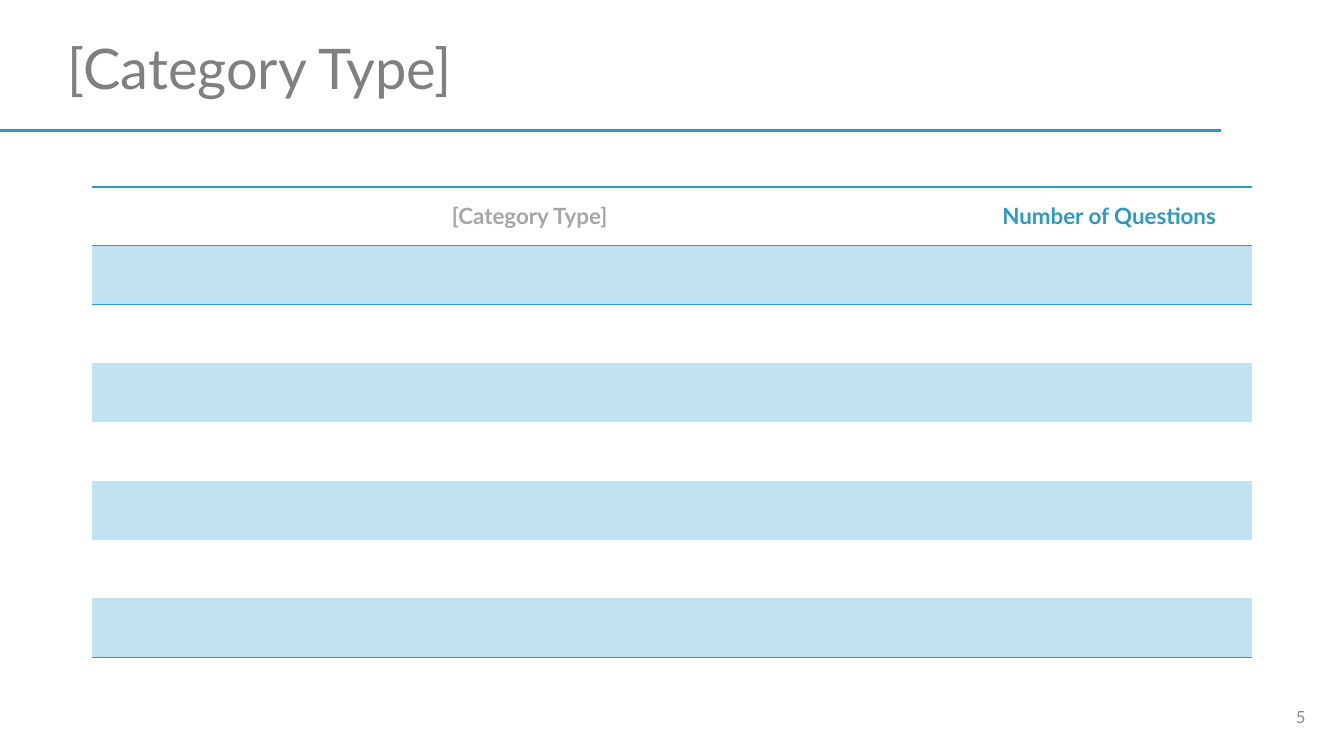
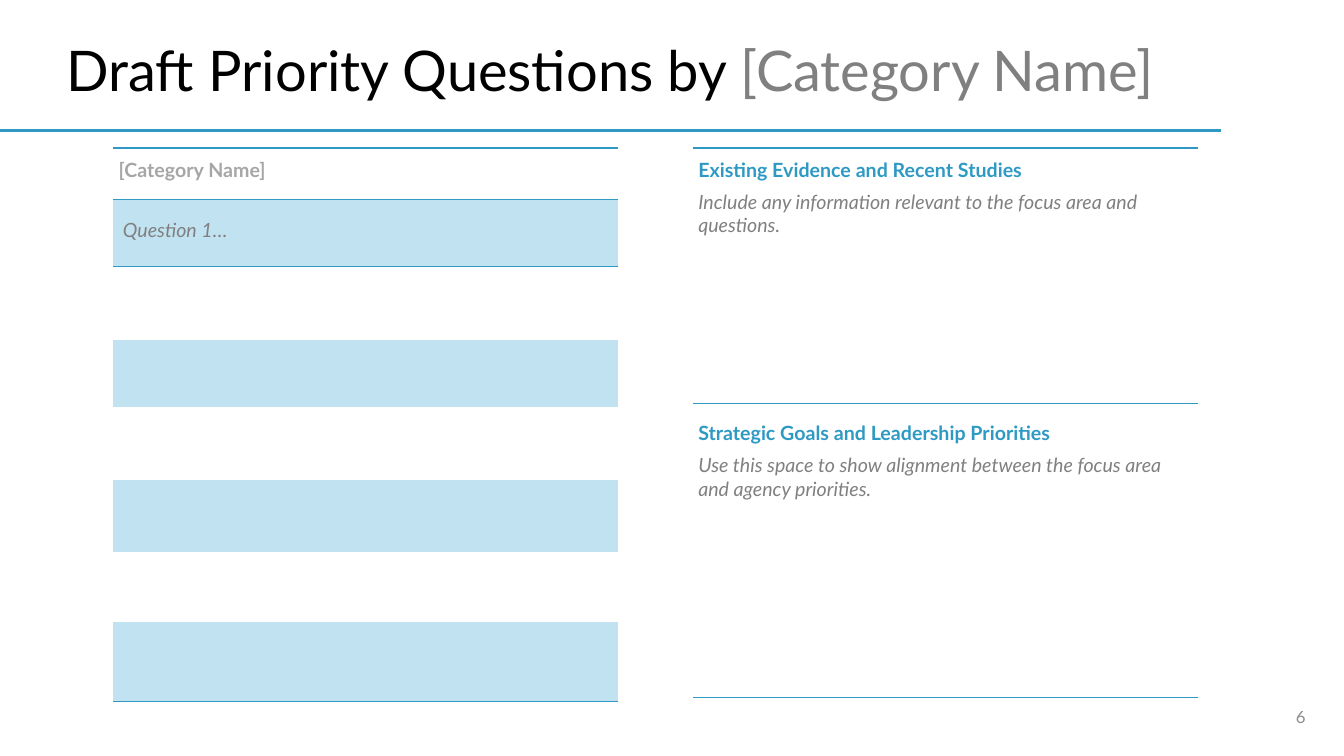
from dataclasses import dataclass

from lxml import etree
from pptx import Presentation
from pptx.dml.color import RGBColor
from pptx.enum.shapes import MSO_CONNECTOR
from pptx.enum.text import MSO_ANCHOR, PP_ALIGN
from pptx.oxml.ns import qn
from pptx.util import Pt

PX = 9525  # EMU per px; the slide is 1280 x 720 px
FONT = "Lato"
LEFT, CENTER, RIGHT = PP_ALIGN.LEFT, PP_ALIGN.CENTER, PP_ALIGN.RIGHT
TOP, MIDDLE = MSO_ANCHOR.TOP, MSO_ANCHOR.MIDDLE
STRAIGHT = MSO_CONNECTOR.STRAIGHT
COLORS = {
    "accent": "2E9AC4",
    "band": "C1E3F1",
    "text": "000000",
    "prompt": "808080",
    "placeholder": "A6A6A6",
    "number": "8C8C8C",
}


@dataclass(frozen=True)
class Run:
    text: str
    color: str


@dataclass(frozen=True)
class Para:
    runs: tuple[Run, ...]
    size: int
    bold: bool = False
    italic: bool = False
    align: PP_ALIGN = LEFT
    spacing: float | Pt | None = None
    before: int = 0
    after: int = 0


@dataclass(frozen=True)
class CellText:
    paras: tuple[Para, ...]
    anchor: MSO_ANCHOR = MIDDLE
    left: int = 5
    top: int = 0


@dataclass(frozen=True)
class Grid:
    x: int
    y: int
    cols: tuple[int, ...]
    rows: tuple[int, ...]
    rules: tuple[int, ...]  # row boundaries that carry a line
    texts: dict[tuple[int, int], CellText]
    banded: bool = True


def rgb(name: str) -> RGBColor:
    return RGBColor.from_string(COLORS[name])


def write(tf, paras: tuple[Para, ...]) -> None:
    for i, para in enumerate(paras):
        p = tf.paragraphs[0] if i == 0 else tf.add_paragraph()
        p.alignment = para.align
        p.space_before, p.space_after = Pt(para.before), Pt(para.after)
        if para.spacing is not None:
            p.line_spacing = para.spacing
        p.font.name, p.font.size = FONT, Pt(para.size)
        p.font.bold, p.font.italic = para.bold, para.italic
        p.font.color.rgb = rgb(para.runs[0].color)
        for run in para.runs:
            r = p.add_run()
            r.text = run.text
            if run.color != para.runs[0].color:
                r.font.color.rgb = rgb(run.color)


def add_text(slide, x: int, y: int, w: int, h: int, para: Para) -> None:
    sp = slide.shapes.add_textbox(x * PX, y * PX, w * PX, h * PX)
    tf = sp.text_frame
    tf.word_wrap = True
    tf.vertical_anchor = MIDDLE
    write(tf, (para,))


def set_borders(cell, top: bool, bottom: bool) -> None:
    tc_pr = cell._tc.get_or_add_tcPr()
    for side, shown in (("L", False), ("R", False), ("T", top), ("B", bottom)):
        ln = etree.SubElement(tc_pr, qn(f"a:ln{side}"), w=str(Pt(1)))
        if shown:
            fill = etree.SubElement(ln, qn("a:solidFill"))
            etree.SubElement(fill, qn("a:srgbClr"), val=COLORS["accent"])
        else:
            etree.SubElement(ln, qn("a:noFill"))


def add_grid(slide, grid: Grid) -> None:
    table = slide.shapes.add_table(
        len(grid.rows), len(grid.cols), grid.x * PX, grid.y * PX,
        sum(grid.cols) * PX, sum(grid.rows) * PX).table
    table.first_row = table.horz_banding = False
    for col, width in zip(table.columns, grid.cols):
        col.width = width * PX
    for i, height in enumerate(grid.rows):
        table.rows[i].height = height * PX
        for j in range(len(grid.cols)):
            cell = table.cell(i, j)
            set_borders(cell, i in grid.rules, i + 1 in grid.rules)
            if grid.banded and i % 2:
                cell.fill.solid()
                cell.fill.fore_color.rgb = rgb("band")
            else:
                cell.fill.background()
            text = grid.texts.get((i, j))
            if text:
                cell.vertical_anchor = text.anchor
                cell.margin_left, cell.margin_right = text.left * PX, 5 * PX
                cell.margin_top, cell.margin_bottom = text.top * PX, 0
                write(cell.text_frame, text.paras)


def add_slide(prs, number: int, title: tuple[Run, ...],
              box: tuple[int, int, int, int]):
    slide = prs.slides.add_slide(prs.slide_layouts[6])
    # Rule under the title
    line = slide.shapes.add_connector(STRAIGHT, 0, 124 * PX, 1163 * PX, 124 * PX)
    line.line.color.rgb = rgb("accent")
    line.line.width = Pt(2.25)
    etree.SubElement(line._element.spPr, qn("a:effectLst"))
    # Title and slide number
    add_text(slide, *box, Para(title, 40, spacing=0.9))
    add_text(slide, 965, 664, 288, 38,
             Para((Run(str(number), "number"),), 12, align=RIGHT))
    return slide


def header(text: str, color: str) -> CellText:
    return CellText((Para((Run(text, color),), 16, bold=True, align=CENTER),))


def topic(heading: str, prompt: str, top: int, before: int, after: int) -> CellText:
    return CellText((
        Para((Run(heading, "accent"),), 14, bold=True, spacing=Pt(12), after=after),
        Para((Run(prompt, "prompt"),), 14, italic=True, before=before, after=6),
    ), TOP, top=top)


def main() -> None:
    prs = Presentation()
    prs.slide_width, prs.slide_height = 1280 * PX, 720 * PX

    # Number of questions per category
    slide = add_slide(prs, 5, (Run("[Category Type]", "prompt"),),
                      (55, 23, 1106, 90))
    add_grid(slide, Grid(88, 178, (833, 271), (56,) * 8, (0, 1, 2, 8), {
        (0, 0): header("[Category Type]", "placeholder"),
        (0, 1): header("Number of Questions", "accent"),
    }))

    # Priority questions, evidence and goals
    slide = add_slide(prs, 6, (Run("Draft Priority Questions by ", "text"),
                               Run("[Category Name]", "prompt")),
                      (54, 0, 1104, 139))
    add_grid(slide, Grid(
        108, 141, (481,), (49, 64, 70, 64, 69, 69, 66, 76), (0, 1, 2, 8), {
            (0, 0): CellText((Para((Run("[Category Name]", "placeholder"),), 14,
                                   bold=True, spacing=Pt(12)),)),
            (1, 0): CellText((Para((Run("Question 1…", "prompt"),), 14,
                                   italic=True, spacing=Pt(12)),), left=9),
        }))
    add_grid(slide, Grid(660, 141, (481,), (243, 280), (0, 1, 2), {
        (0, 0): topic(
            "Existing Evidence and Recent Studies",
            "Include any information relevant to the focus area and questions.",
            top=16, before=6, after=0),
        (1, 0): topic(
            "Strategic Goals and Leadership Priorities",
            "Use this space to show alignment between the focus area and agency "
            "priorities.",
            top=24, before=0, after=6),
    }, banded=False))

    prs.save("out.pptx")


if __name__ == "__main__":
    main()
